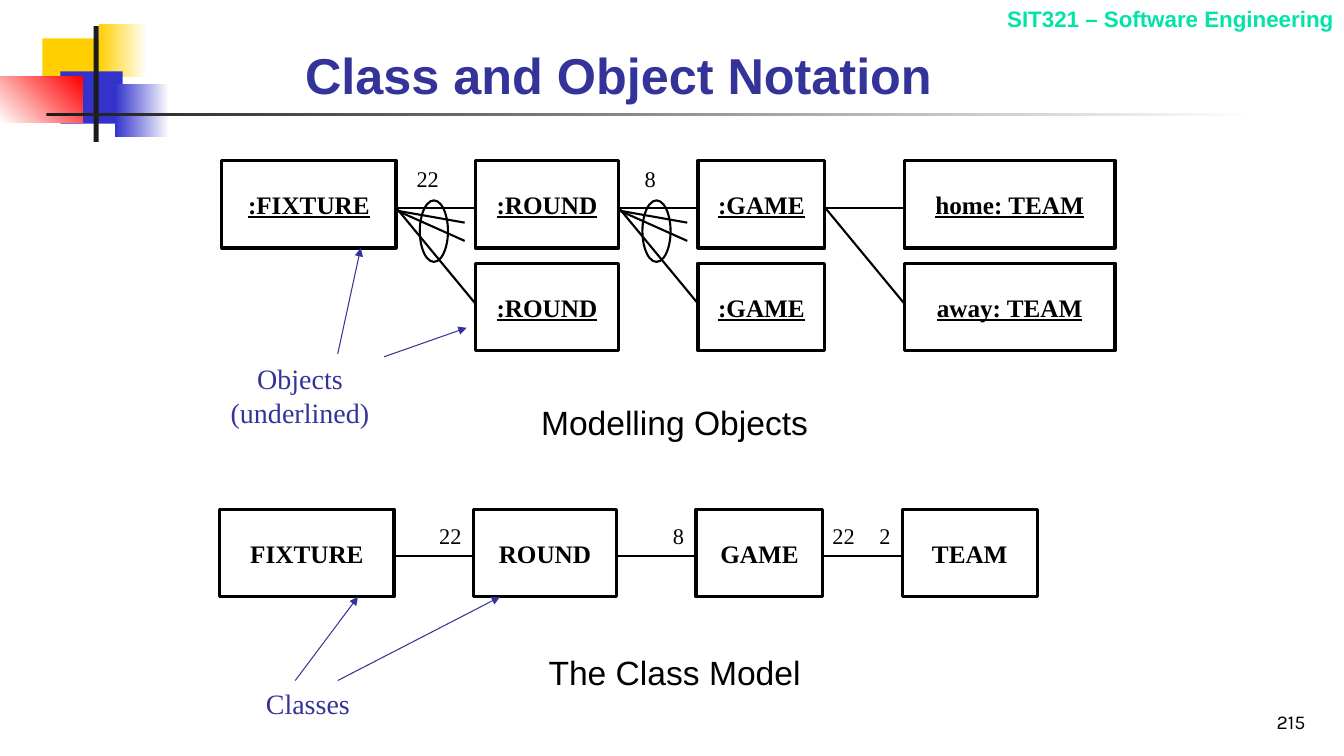
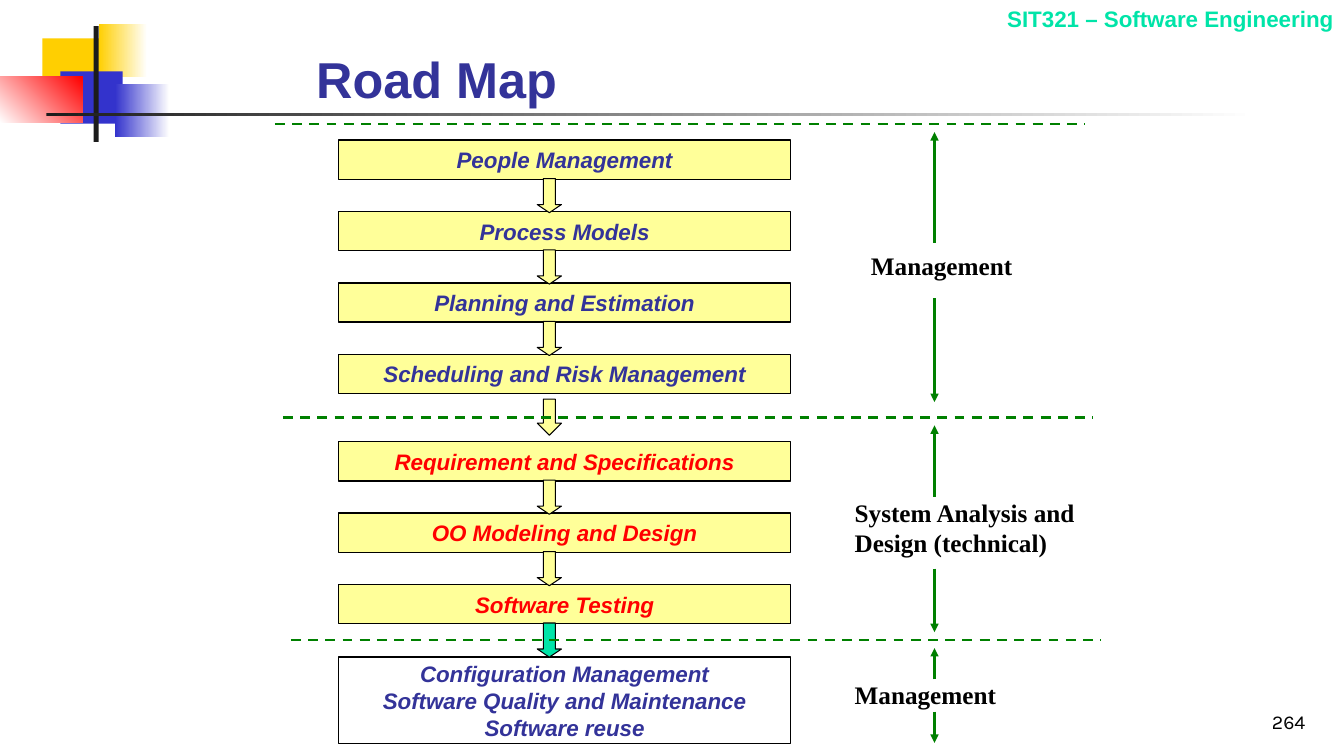
from lxml import etree
from pptx import Presentation
from pptx.dml.color import RGBColor
from pptx.enum.dml import MSO_LINE
from pptx.enum.shapes import MSO_CONNECTOR, MSO_SHAPE as Shape
from pptx.enum.text import MSO_ANCHOR as Anchor, PP_ALIGN as Align
from pptx.oxml.ns import qn
from pptx.util import Cm, Pt

COLORS = {
    "black": "000000", "white": "FFFFFF", "ink": "1C1C1C", "navy": "333399",
    "blue": "3333CC", "yellow": "FFCF01", "cream": "FFFF99", "red": "FF0000",
    "mint": "00E4A8", "green": "008000",
}
SANS, SERIF, NUMBERS = "Arial", "Times New Roman", "Karla"


def rgb(name):
    return RGBColor.from_string(COLORS[name])


def write(frame, text, size=18, font=SERIF, color="black", bold=False,
          italic=False, underline=False, align=Align.LEFT, anchor=Anchor.TOP,
          inset=(0, 0)):
    """Fill a text frame, one paragraph for each line of text."""
    frame.word_wrap = True
    frame.vertical_anchor = anchor
    frame.margin_left = frame.margin_right = Cm(inset[0])
    frame.margin_top = frame.margin_bottom = Cm(inset[1])
    for index, line in enumerate(text.split("\n")):
        para = frame.paragraphs[0] if index == 0 else frame.add_paragraph()
        para.alignment = align
        span = para.add_run()
        span.text = line
        style = span.font
        style.name, style.size, style.color.rgb = font, Pt(size), rgb(color)
        style.bold, style.italic, style.underline = bold, italic, underline


def add_text(page, box, text, **style):
    label = page.shapes.add_textbox(*map(Cm, box))
    write(label.text_frame, text, **style)
    return label


def add_shape(page, kind, box, fill=None, fade=None, angle=0, line=None):
    """Add a shape with a plain fill, a fade between two colours, or no fill."""
    shape = page.shapes.add_shape(kind, *map(Cm, box))
    shape.shadow.inherit = False
    if fade:
        shape.fill.gradient()
        shape.fill.gradient_angle = angle
        for stop, color in zip(shape.fill.gradient_stops, fade):
            stop.color.rgb = rgb(color)
    elif fill:
        shape.fill.solid()
        shape.fill.fore_color.rgb = rgb(fill)
    else:
        shape.fill.background()
    if line:
        shape.line.color.rgb = rgb("black")
        shape.line.width = Pt(line)
    else:
        shape.line.fill.background()
    return shape


def add_line(page, start, end, color="black", width=1.5, dashed=False, arrow=False):
    line = page.shapes.add_connector(MSO_CONNECTOR.STRAIGHT, *map(Cm, (*start, *end)))
    line.line.color.rgb = rgb(color)
    line.line.width = Pt(width)
    if dashed:
        line.line.dash_style = MSO_LINE.DASH
    properties = line._element.spPr
    if arrow:
        etree.SubElement(properties.find(qn("a:ln")), qn("a:tailEnd"), type="triangle")
    etree.SubElement(properties, qn("a:effectLst"))


def add_page(deck, title, title_box, number, title_anchor):
    """Start a slide with the shared corner, rule, header, title and number."""
    page = deck.slides.add_slide(deck.slide_layouts[6])
    # Corner blocks, upright bar and fading rule
    for box, look in (
        ((1.07, 0.97, 1.63, 1.32), {"fill": "yellow"}),
        ((2.49, 0.61, 1.22, 1.32), {"fade": ("yellow", "white")}),
        ((1.52, 1.8, 1.57, 1.32), {"fill": "blue"}),
        ((2.9, 2.13, 1.37, 1.32), {"fade": ("blue", "white")}),
        ((0, 1.93, 2.08, 1.17), {"fade": ("white", "red"), "angle": 45}),
        ((2.36, 0.66, 0.13, 2.92), {"fill": "ink"}),
        ((1.17, 2.84, 30.48, 0.08), {"fade": ("ink", "white")}),
    ):
        add_shape(page, Shape.RECTANGLE, box, **look)
    # Header, page number and title
    inset = (0.25, 0.13)
    add_text(page, (20.4, 0, 13.46, 0.94), "SIT321 – Software Engineering", size=16,
             font=SANS, color="mint", bold=True, align=Align.RIGHT, inset=inset)
    add_text(page, (26.09, 17.35, 7.06, 1.27), number, size=14, font=NUMBERS,
             align=Align.RIGHT, anchor=Anchor.BOTTOM, inset=inset)
    add_text(page, title_box, title, size=36, font=SANS, color="navy", bold=True,
             anchor=title_anchor, inset=inset)
    return page


# Class and object diagrams
BOX_HEIGHT, BOX_GAP, LINK_DROP = 2.21, 2, 1.19
FIRST_WIDTHS = [4.39, 3.61, 3.2]


def place_columns(left, widths):
    """Return (left, right) for each box of a row with equal gaps."""
    columns = []
    for width in widths:
        columns.append((left, left + width))
        left += width + BOX_GAP
    return columns


def add_node(page, column, top, name, underline=False):
    left, right = column
    node = add_shape(page, Shape.RECTANGLE, (left, top, right - left, BOX_HEIGHT), line=2.25)
    write(node.text_frame, name, bold=True, underline=underline,
          align=Align.CENTER, anchor=Anchor.MIDDLE)


def add_many_link(page, left, level, count):
    """Draw the short rays, ring and count of a one-to-many link."""
    for drop in (0.38, 0.84):
        add_line(page, (left + 0.03, level + 0.08), (left + 1.73, level + drop))
    add_shape(page, Shape.OVAL, (left + 0.6, level - 0.18, 0.71, 1.55), line=1.5)
    add_text(page, (left + 0.3, level - 1.06, 1, 0.68), count, size=16, align=Align.CENTER)


def add_object_model(page, left, top):
    columns = place_columns(left, FIRST_WIDTHS + [5.31])
    lower = top + 2.59
    names = ((":FIXTURE",), (":ROUND", ":ROUND"), (":GAME", ":GAME"),
             ("home: TEAM", "away: TEAM"))
    for column, pair in zip(columns, names):
        for node_top, name in zip((top, lower), pair):
            add_node(page, column, node_top, name, underline=True)
    level = top + LINK_DROP
    for (_, start), (end, _), count in zip(columns, columns[1:], ("22", "8", None)):
        add_line(page, (start, level), (end, level))
        add_line(page, (start, level), (end, lower + 1.02))
        if count:
            add_many_link(page, start, level, count)


def add_class_model(page, left, top):
    columns = place_columns(left, FIRST_WIDTHS + [3.4])
    for column, name in zip(columns, ("FIXTURE", "ROUND", "GAME", "TEAM")):
        add_node(page, column, top, name)
    level, count_top = top + LINK_DROP, top + 0.33
    for (_, start), (end, _), count in zip(columns, columns[1:], ("22", "8", "2")):
        add_line(page, (start, level), (end, level))
        add_text(page, (end - 1.3, count_top, 1, 0.68), count, size=16, align=Align.RIGHT)
    add_text(page, (columns[2][1] + 0.24, count_top, 0.8, 0.68), "22", size=16)


def add_callout(page, box, text, arrows):
    add_text(page, box, text, size=20, color="navy", align=Align.CENTER)
    for start, end in arrows:
        add_line(page, start, end, color="navy", width=0.75, arrow=True)


def build_notation(deck):
    page = add_page(deck, "Class and Object Notation", (7.44, 0.58, 21.64, 2.18),
                    "215", Anchor.BOTTOM)
    add_object_model(page, 5.59, 4.04)
    add_class_model(page, 5.54, 12.83)
    # Captions under the two models
    for top, caption in ((10.13, "Modelling Objects"), (16.43, "The Class Model")):
        add_text(page, (13, top, 8, 1.02), caption, size=24, font=SANS, align=Align.CENTER)
    # Callouts
    add_callout(page, (5.46, 9.12, 4.2, 1.7), "Objects (underlined)",
                (((9.68, 8.99), (11.76, 8.26)), ((8.51, 8.92), (9.09, 6.25))))
    add_callout(page, (6.43, 17.3, 2.66, 0.85), "Classes",
                (((8.51, 17.15), (12.6, 15.04)), ((7.44, 17.15), (9.02, 15.04))))


# Road map
STEP_LEFT, STEP_WIDTH, STEP_HEIGHT, STEP_PITCH = 8.53, 11.4, 0.99, 1.8


def add_step(page, top, text, height=STEP_HEIGHT, fill="cream", color="navy"):
    step = add_shape(page, Shape.RECTANGLE, (STEP_LEFT, top, STEP_WIDTH, height),
                     fill=fill, line=1)
    write(step.text_frame, text, size=16, font=SANS, color=color, bold=True,
          italic=True, align=Align.CENTER, anchor=Anchor.MIDDLE)


def add_down_arrow(page, top, fill="cream", height=0.86, head=0.335):
    arrow = add_shape(page, Shape.DOWN_ARROW, (13.54, top, 0.61, height),
                      fill=fill, line=0.75)
    arrow.adjustments[1] = head


def add_stage(page, top, names, color):
    """Stack the steps of one stage, joined by arrows."""
    for index, name in enumerate(names):
        add_step(page, top + index * STEP_PITCH, name, color=color)
    for index in range(len(names) - 1):
        add_down_arrow(page, top + index * STEP_PITCH + 0.97)


def add_span_label(page, top, bottom, gap, text, text_box):
    """Draw arrows from a label to the ends of its span."""
    center = 23.55
    for start, end in zip(gap, (top, bottom)):
        add_line(page, (center, start), (center, end), color="green", width=2, arrow=True)
    add_text(page, text_box, text, bold=True)


def build_road_map(deck):
    page = add_page(deck, "Road Map", (7.72, 1.12, 14.81, 1.73), "264", Anchor.MIDDLE)
    # Steps and the arrows between stages
    add_stage(page, 3.53, ("People Management", "Process Models", "Planning and Estimation",
                           "Scheduling and Risk Management"), "navy")
    add_stage(page, 11.13, ("Requirement and Specifications", "OO Modeling and Design",
                            "Software Testing"), "red")
    add_step(page, 16.56, "Configuration Management\nSoftware Quality and Maintenance\n"
             "Software reuse", height=2.18, fill=None)
    add_down_arrow(page, 10.06, height=0.91, head=0.5)
    add_down_arrow(page, 15.7, fill="mint")
    # Stage borders, each a little further right
    for index, level in enumerate((3.12, 10.52, 16.13)):
        left = 6.93 + index * 0.2
        add_line(page, (left, level), (left + 20.4, level), color="green",
                 width=1.75, dashed=True)
    # Stage labels
    add_span_label(page, 3.33, 10.13, (6.12, 7.52), "Management", (21.95, 6.32, 4.4, 0.76))
    add_span_label(page, 10.72, 15.93, (12.52, 14.33),
                   "System Analysis and Design (technical)", (21.54, 12.52, 6.4, 1.52))
    add_span_label(page, 16.33, 18.72, (17.12, 17.93), "Management", (21.54, 17.12, 4.4, 0.76))


def main():
    deck = Presentation()
    deck.slide_width, deck.slide_height = Cm(33.87), Cm(19.05)
    build_notation(deck)
    build_road_map(deck)
    deck.save("out.pptx")


if __name__ == "__main__":
    main()
